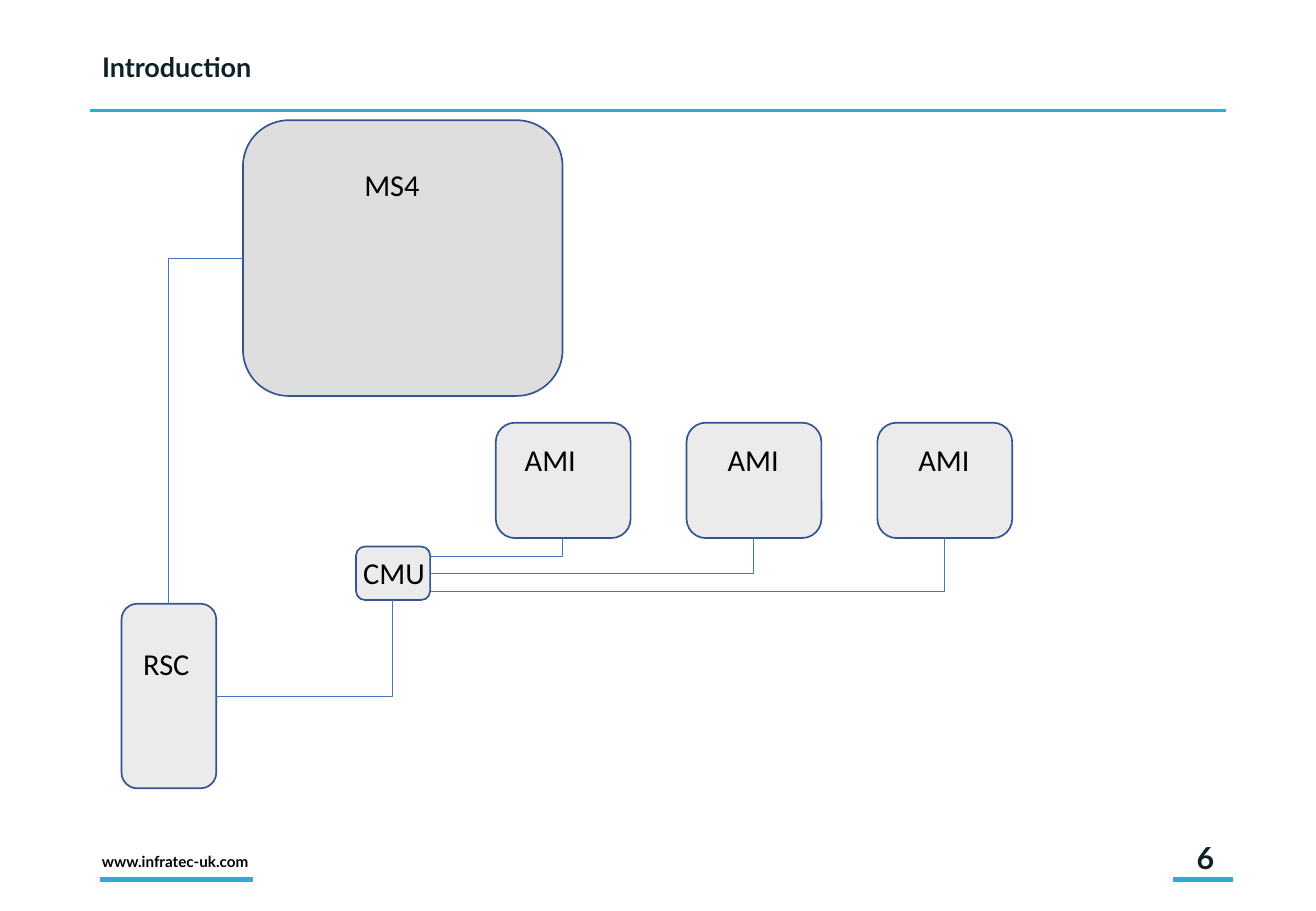
from dataclasses import dataclass
from typing import NamedTuple

from lxml.etree import SubElement
from pptx import Presentation
from pptx.dml.color import RGBColor
from pptx.enum.shapes import MSO_CONNECTOR as Link, MSO_SHAPE as Shape
from pptx.enum.text import MSO_ANCHOR as Anchor, MSO_AUTO_SIZE as Fit, PP_ALIGN as Align
from pptx.oxml.ns import qn
from pptx.util import Emu, Pt

PX = 9144  # EMU per px, 100 px to the inch


@dataclass(frozen=True)
class Theme:
    heading_font: str = "Lato"
    label_font: str = "Calibri"
    ink: str = "0E2129"
    black: str = "000000"
    accent: str = "2BADD8"
    outline: str = "325491"
    wire: str = "4472C4"
    unit_fill: str = "D9D9D9"
    main_fill: str = "BFBFBF"
    title_size: int = 16
    label_size: int = 18
    address_size: int = 9


THEME = Theme()


class Box(NamedTuple):
    left: int
    top: int
    width: int
    height: int

    def inner(self, left, top, width, height):
        return Box(self.left + left, self.top + top, width, height)

    def emu(self):
        return [Emu(value * PX) for value in self]

    @property
    def right(self):
        return self.left + self.width

    @property
    def bottom(self):
        return self.top + self.height

    @property
    def center(self):
        return self.left + self.width // 2

    @property
    def middle(self):
        return self.top + self.height // 2


def set_font(para, name, size, color, bold=False):
    font = para.font
    font.name, font.size, font.bold = name, Pt(size), bold
    font.color.rgb = RGBColor.from_string(color)


def add_text(page, box, text, font, size, color, bold=False, wrap=True):
    frame = page.shapes.add_textbox(*box.emu()).text_frame
    frame.word_wrap = wrap
    para = frame.paragraphs[0]
    para.text = text
    set_font(para, font, size, color, bold)
    return frame


def add_line(page, start, end, color, weight, kind=Link.STRAIGHT):
    line = page.shapes.add_connector(kind, *[Emu(value * PX) for value in (*start, *end)])
    line.line.color.rgb = RGBColor.from_string(color)
    line.line.width = Pt(weight)
    properties = line._element.spPr
    SubElement(properties, qn("a:effectLst"))
    if kind == Link.ELBOW:  # one bend: sideways first, then up or down
        properties.find(qn("a:prstGeom")).set("prst", "bentConnector2")


def add_wire(page, start, end):
    add_line(page, start, end, THEME.wire, 0.5, Link.ELBOW)


def add_unit(page, box, fill, text, label):
    unit = page.shapes.add_shape(Shape.ROUNDED_RECTANGLE, *box.emu())
    unit.shadow.inherit = False
    unit.fill.solid()
    unit.fill.fore_color.rgb = RGBColor.from_string(fill)
    color = unit._element.spPr.find(qn("a:solidFill"))[0]
    SubElement(color, qn("a:alpha"), val="50000")
    unit.line.color.rgb = RGBColor.from_string(THEME.outline)
    unit.line.width = Pt(1)
    add_text(page, box.inner(*label), text, THEME.label_font,
             THEME.label_size, THEME.black, wrap=False)
    return box


def build_header(page, box):
    title = page.shapes.title
    title.left, title.top, title.width, title.height = box.emu()
    frame = title.text_frame
    frame.text = "Introduction"
    frame.vertical_anchor = Anchor.TOP
    frame.auto_size = Fit.NONE
    para = frame.paragraphs[0]
    para.alignment, para.line_spacing = Align.LEFT, 0.9
    set_font(para, THEME.heading_font, THEME.title_size, THEME.ink, bold=True)
    rule = box.top + 51
    add_line(page, (box.left, rule), (box.right + 1, rule), THEME.accent, 1.75)


def build_diagram(page, box):
    # Units with their labels
    rsc = add_unit(page, box.inner(0, 398, 78, 152), THEME.unit_fill, "RSC", (8, 29, 59, 40))
    ms4 = add_unit(page, box.inner(100, 0, 263, 227), THEME.main_fill, "MS4", (90, 33, 66, 40))
    amis = [
        add_unit(page, box.inner(308 + 157 * index, 249, 111, 95),
                 THEME.unit_fill, "AMI", (label_left, 10, 63, 40))
        for index, label_left in enumerate((14, 24, 24))
    ]
    cmu = add_unit(page, box.inner(193, 351, 61, 44), THEME.unit_fill, "CMU", (-4, 1, 71, 40))

    # Wires between units
    add_wire(page, (ms4.left, ms4.middle + 1), (rsc.center, rsc.top))
    add_wire(page, (rsc.right, rsc.middle), (cmu.center, cmu.bottom))
    for ami, drop in zip(amis, (8, 22, 37)):
        add_wire(page, (cmu.right, cmu.top + drop), (ami.center, ami.bottom))


def build_footer(page, box):
    # Web address
    add_text(page, box.inner(0, 11, 152, 25), "www.infratec-uk.com",
             THEME.heading_font, THEME.address_size, THEME.black, bold=True)
    # Page number
    number = add_text(page, box.inner(691, 0, 244, 40), "6",
                      THEME.heading_font, THEME.label_size, THEME.ink, bold=True)
    number.vertical_anchor = Anchor.MIDDLE
    number.paragraphs[0].alignment = Align.RIGHT
    # Underlines
    for start, end in ((8, 134), (891, 941)):
        add_line(page, (box.left + start, box.top + 38),
                 (box.left + end, box.top + 38), THEME.accent, 3)


def main():
    deck = Presentation()
    deck.slide_width, deck.slide_height = Emu(1083 * PX), Emu(750 * PX)
    page = deck.slides.add_slide(deck.slide_layouts[5])
    build_header(page, Box(74, 40, 934, 49))
    build_diagram(page, Box(100, 99, 733, 550))
    build_footer(page, Box(74, 686, 941, 40))
    deck.save("out.pptx")


if __name__ == "__main__":
    main()
